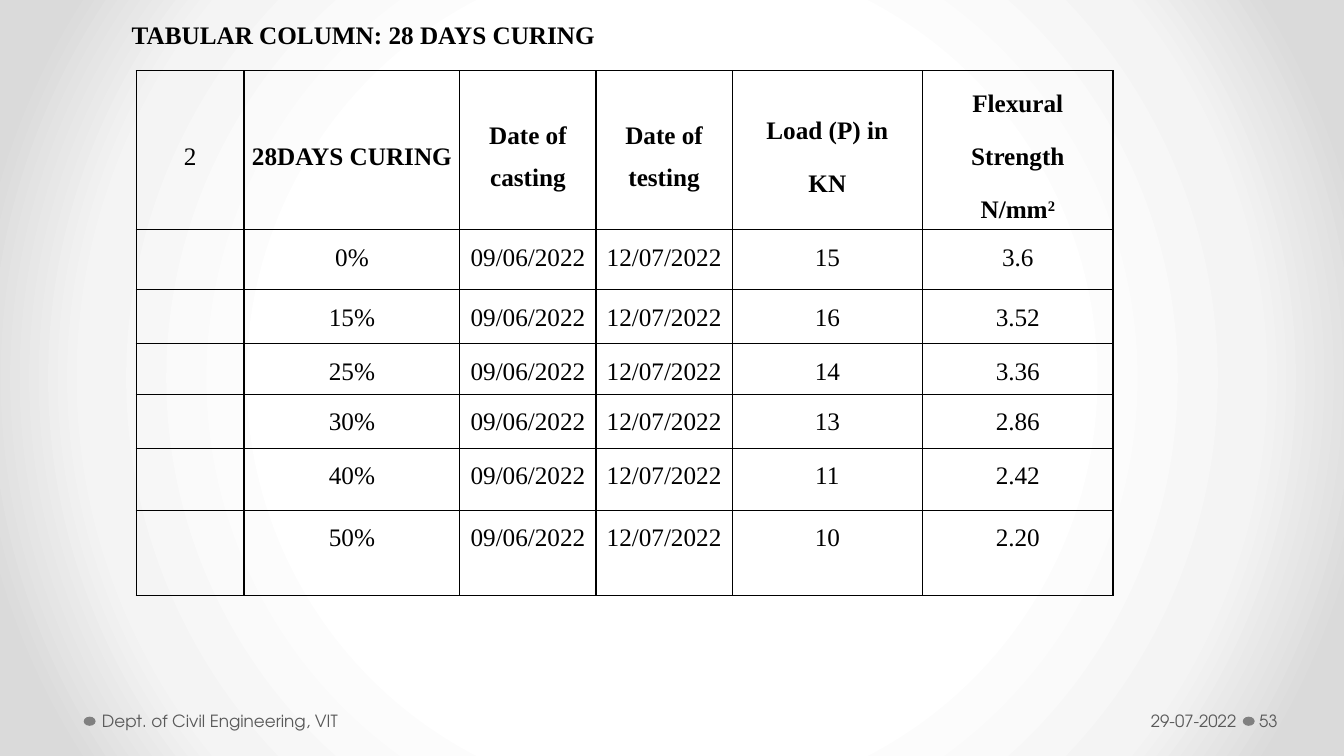
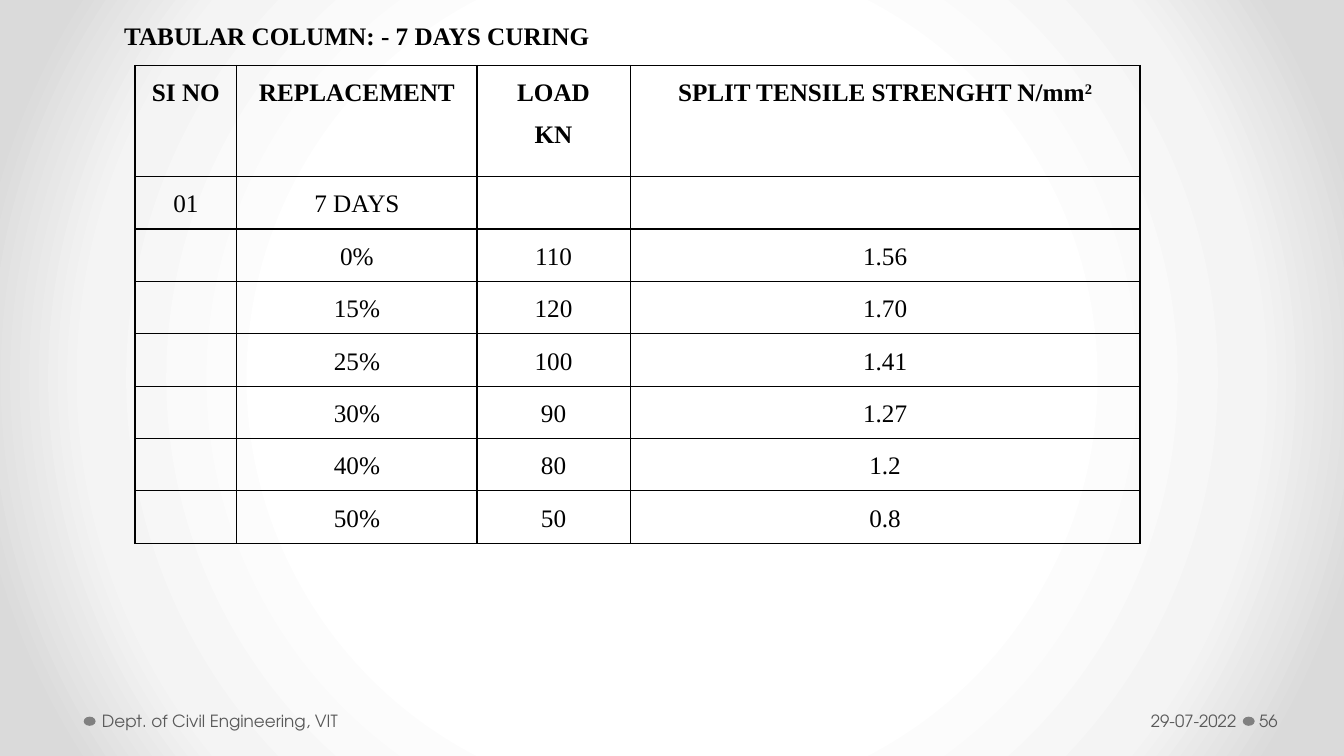
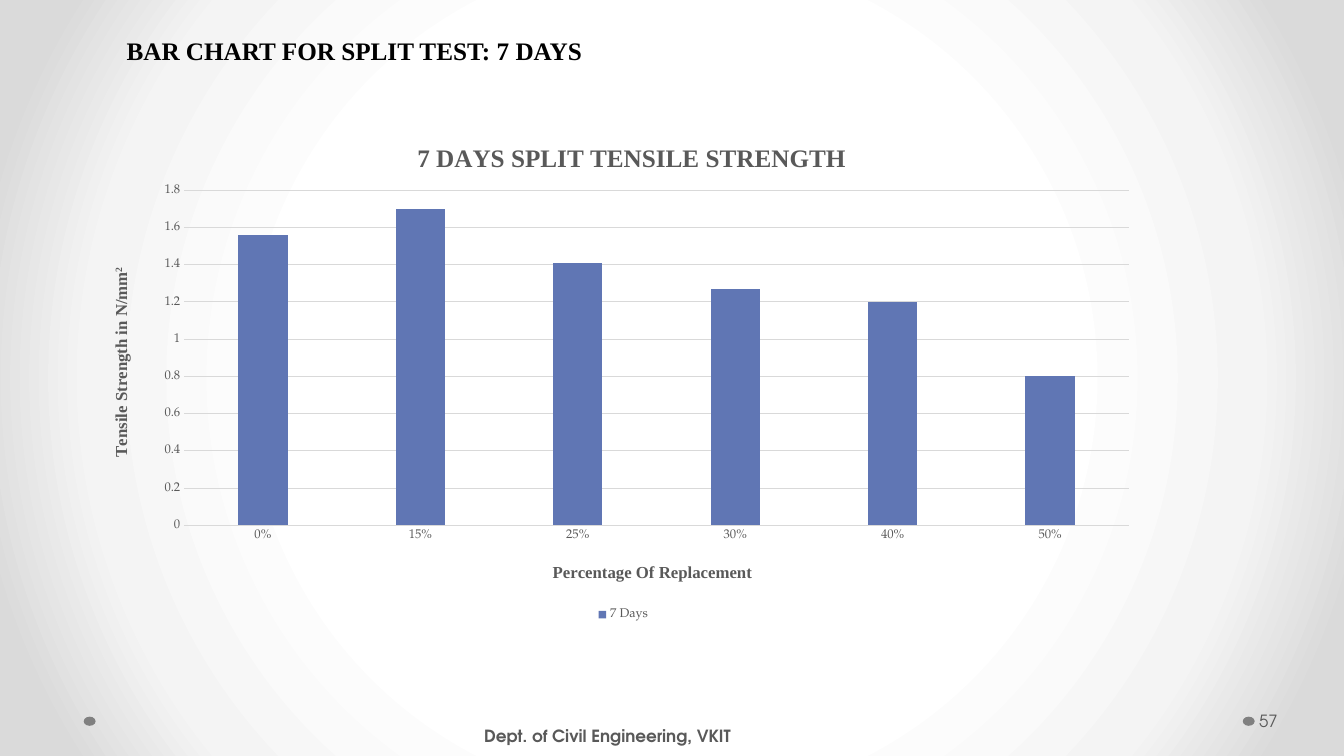
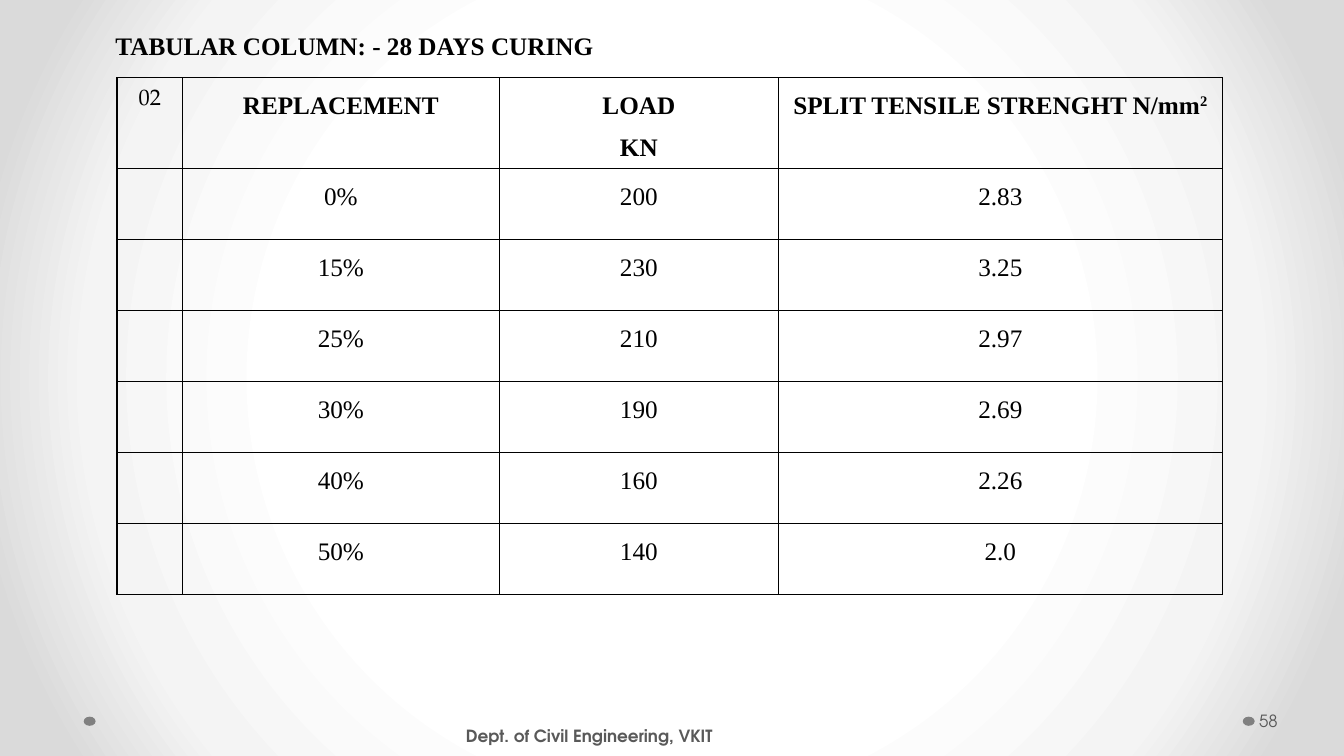
import pptx
import pptx.chart.data
import pptx.dml.color
import pptx.enum.chart
import pptx.enum.shapes
import pptx.enum.text
import pptx.oxml
import pptx.oxml.ns
import pptx.util

Cm, Pt = pptx.util.Cm, pptx.util.Pt
PP_ALIGN = pptx.enum.text.PP_ALIGN
ANCHOR = pptx.enum.text.MSO_ANCHOR
NS = pptx.oxml.ns.nsdecls("a", "c")

COLORS = {"text": "000000", "muted": "595959", "dot": "808080", "grid": "D9D9D9",
          "bar": "6076B4", "center": "FFFFFF", "ring": "F4F4F4", "edge": "DADADA"}
SERIF, FOOTER_FONT, CHART_FONT = "Times New Roman", "TeX Gyre Adventor", "TeX Gyre Pagella"


def rgb(name):
    return pptx.dml.color.RGBColor.from_string(COLORS[name])


def style(font, size, name=SERIF, color="text", bold=False):
    font.size, font.name, font.bold = Pt(size), name, bold
    font.color.rgb = rgb(color)


def write(paragraph, text, **look):
    """Fill a paragraph; whatever follows ^ is raised."""
    for part, words in enumerate(text.split("^")):
        run = paragraph.add_run()
        run.text = words
        style(run.font, **look)
        if part:
            run.font._element.set("baseline", "30000")


def set_layout(parent, index, inner=False, **fractions):
    """Place a chart part by fractions of the chart's size."""
    for old in parent.findall(pptx.oxml.ns.qn("c:layout")):
        parent.remove(old)
    target = '<c:layoutTarget val="inner"/>' if inner else ""
    modes = "".join(f'<c:{axis}Mode val="edge"/>' for axis in "xy")
    values = "".join(f'<c:{key} val="{value}"/>' for key, value in fractions.items())
    parent.insert(index, pptx.oxml.parse_xml(
        f"<c:layout {NS}><c:manualLayout>{target}{modes}{values}</c:manualLayout></c:layout>"))


class Deck:
    def __init__(self):
        self.prs = pptx.Presentation()
        self.prs.slide_width, self.prs.slide_height = Cm(33.87), Cm(19.05)
        self.slide = None
        self.set_background()

    def set_background(self):
        master = self.prs.slide_master
        master.background.fill.gradient()
        plain = master.element.xpath("./p:cSld/p:bg/p:bgPr/a:gradFill")[0]
        stops = "".join(
            f'<a:gs pos="{pos}000"><a:srgbClr val="{COLORS[name]}"/></a:gs>'
            for pos, name in ((50, "center"), (76, "ring"), (92, "edge")))
        plain.getparent().replace(plain, pptx.oxml.parse_xml(
            f'<a:gradFill {NS} rotWithShape="1"><a:gsLst>{stops}</a:gsLst><a:path path="circle">'
            '<a:fillToRect l="50000" t="50000" r="50000" b="50000"/></a:path></a:gradFill>'))

    def new_slide(self, number, department, left=2.44, top=17.65, bold=False, date=None):
        self.slide = self.prs.slides.add_slide(self.prs.slide_layouts[6])
        for dot_left in (31.32, 2.11):
            dot = self.slide.shapes.add_shape(
                pptx.enum.shapes.MSO_SHAPE.OVAL, Cm(dot_left), Cm(18.06), Cm(0.3), Cm(0.23))
            dot.shadow.inherit = False
            dot.fill.solid()
            dot.fill.fore_color.rgb = rgb("dot")
            dot.line.fill.background()
        if date:
            self.footer(date, 23.57, 17.65, 7.72, (0.25, 0.13), align=PP_ALIGN.RIGHT)
        self.footer(department, left, top, 10.54, (0.13, 0.25), bold)
        self.footer(number, 31.65, 17.65, 2.08, (0.08, 0.13))

    def text_box(self, left, top, width, height):
        box = self.slide.shapes.add_textbox(Cm(left), Cm(top), Cm(width), Cm(height))
        box.text_frame.word_wrap = True
        return box.text_frame

    def footer(self, text, left, top, width, insets, bold=False, align=PP_ALIGN.LEFT):
        frame = self.text_box(left, top, width, 1.02)
        frame.vertical_anchor = ANCHOR.MIDDLE
        frame.margin_left, frame.margin_right = map(Cm, insets)
        frame.paragraphs[0].alignment = align
        write(frame.paragraphs[0], text, size=12, name=FOOTER_FONT, color="muted", bold=bold)

    def title(self, text, left, top, width, height=1.42, margin=0, indent=0.5, spacing=1.5):
        frame = self.text_box(left, top, width, height)
        frame.auto_size = pptx.enum.text.MSO_AUTO_SIZE.SHAPE_TO_FIT_TEXT
        heading = frame.paragraphs[0]
        heading.line_spacing = spacing
        properties = heading._p.get_or_add_pPr()
        properties.set("marL", str(Cm(margin)))
        properties.set("indent", str(Cm(indent)))
        write(heading, text, size=18, bold=True)

    def table(self, left, top, widths, heights, rows, header_anchor=ANCHOR.TOP,
              space_after=0, corner=None):
        """Draw rows under a bold header; corner is the look of the first cell."""
        table = self.slide.shapes.add_table(
            len(rows), len(widths), Cm(left), Cm(top),
            Cm(sum(widths)), Cm(sum(heights))).table
        table.first_row = table.horz_banding = False
        for column, width in zip(table.columns, widths):
            column.width = Cm(width)
        for row, height in zip(table.rows, heights):
            row.height = Cm(height)
        for r, row in enumerate(rows):
            for c, text in enumerate(row):
                look = {"size": 18, "bold": r == 0}
                if corner and r == c == 0:
                    look = corner
                anchor = ANCHOR.TOP if r else header_anchor
                self.cell(table.cell(r, c), text, look, anchor, space_after)

    def cell(self, cell, text, look, anchor, space_after):
        cell.margin_left = cell.margin_right = Cm(0.18)
        cell.margin_top = cell.margin_bottom = 0
        cell.vertical_anchor = anchor
        properties = cell._tc.get_or_add_tcPr()
        for side in "LRTB":
            properties.append(pptx.oxml.parse_xml(
                f'<a:ln{side} {NS} w="{Pt(1)}"><a:solidFill>'
                f'<a:srgbClr val="{COLORS["text"]}"/></a:solidFill></a:ln{side}>'))
        cell.fill.background()
        for n, line in enumerate(text.split("\n") if text else ()):
            frame = cell.text_frame
            paragraph = frame.add_paragraph() if n else frame.paragraphs[0]
            paragraph.alignment = PP_ALIGN.CENTER
            paragraph.line_spacing = 1.5
            paragraph.space_after = Pt(space_after)
            write(paragraph, line, **look)

    def chart_title(self, owner, text, size, x, y):
        title = getattr(owner, "chart_title", None) or owner.axis_title
        write(title.text_frame.paragraphs[0], text, size=size, color="muted", bold=True)
        set_layout(title._element, 1, x=x, y=y)
        return title

    def bar_chart(self, box, title, category_title, value_title, name, shares, values):
        data = pptx.chart.data.CategoryChartData()
        data.categories = shares
        data.categories.number_format = "0%"
        data.add_series(name, values)
        chart = self.slide.shapes.add_chart(
            pptx.enum.chart.XL_CHART_TYPE.COLUMN_CLUSTERED, *map(Cm, box), data).chart
        style(chart.font, 10, CHART_FONT)

        # Titles
        self.chart_title(chart, title, 18, 0.3, 0.04)
        self.chart_title(chart.category_axis, category_title, 12, 0.43, 0.87)
        upright = self.chart_title(chart.value_axis, value_title, 12, 0.01, 0.29)
        body = upright.text_frame._txBody.bodyPr
        body.set("rot", "-5400000")
        body.set("vert", "horz")

        # Axes
        for axis in (chart.category_axis, chart.value_axis):
            axis.major_tick_mark = axis.minor_tick_mark = pptx.enum.chart.XL_TICK_MARK.NONE
            style(axis.tick_labels.font, 9, CHART_FONT, "muted")
        chart.category_axis.tick_labels.number_format = "0%"
        chart.category_axis.tick_labels.number_format_is_linked = False
        chart.value_axis.minimum_scale, chart.value_axis.maximum_scale = 0, 1.8
        chart.value_axis.major_unit = 0.2
        chart.value_axis.format.line.fill.background()
        for part in (chart.category_axis, chart.value_axis.major_gridlines):
            part.format.line.color.rgb = rgb("grid")
            part.format.line.width = Pt(0.75)

        # Bars and legend
        plot = chart.plots[0]
        plot.gap_width, plot.overlap, plot.vary_by_categories = 219, -27, False
        plot.series[0].format.fill.solid()
        plot.series[0].format.fill.fore_color.rgb = rgb("bar")
        chart.has_legend = True
        chart.legend.position = pptx.enum.chart.XL_LEGEND_POSITION.BOTTOM
        chart.legend.include_in_layout = False
        style(chart.legend.font, 9, CHART_FONT, "muted")
        plot_area = chart._chartSpace.chart.plotArea
        set_layout(plot_area, 0, inner=True, x=0.083, y=0.144, w=0.897, h=0.66)


def main():
    deck = Deck()
    vit = {"department": "Dept. of Civil Engineering, VIT", "date": "29-07-2022"}
    vkit = {"department": "Dept. of Civil Engineering, VKIT", "top": 18.03, "bold": True}
    shares = [0, 0.15, 0.25, 0.3, 0.4, 0.5]
    labels = [f"{share:.0%}" for share in shares]
    split_header = ["REPLACEMENT", "LOAD\nKN", "SPLIT TENSILE STRENGHT N/mm^2"]

    # Flexural strength, 28 days
    deck.new_slide("53", **vit)
    loads = ["15", "16", "14", "13", "11", "10"]
    strengths = ["3.6", "3.52", "3.36", "2.86", "2.42", "2.20"]
    header = ["2", "28DAYS CURING", "Date of casting", "Date of testing",
              "Load (P) in\nKN", "Flexural\nStrength\nN/mm^2"]
    deck.table(3.43, 1.78, [2.72, 5.44, 3.43, 3.43, 4.8, 4.8],
               [4.01, 1.51, 1.36, 1.28, 1.36, 1.56, 2.15],
               [header] + [["", label, "09/06/2022", "12/07/2022", load, strength]
                           for label, load, strength in zip(labels, loads, strengths)],
               header_anchor=ANCHOR.MIDDLE, space_after=8, corner={"size": 18})
    deck.title("TABULAR COLUMN: 28 DAYS CURING", 3.07, 0.36, 12.29, 1.02,
               indent=0, spacing=1)

    # Split tensile strength, 7 days
    deck.new_slide("56", **vit)
    deck.title("TABULAR COLUMN: - 7 DAYS CURING", 0.91, 0, 16.94, margin=1.47)
    loads = ["110", "120", "100", "90", "80", "50"]
    strengths = ["1.56", "1.70", "1.41", "1.27", "1.2", "0.8"]
    deck.table(3.4, 1.65, [2.57, 6.05, 3.86, 12.85], [2.8] + [1.32] * 7,
               [["SI NO"] + split_header, ["01", "7 DAYS", "", ""]]
               + [["", *row] for row in zip(labels, loads, strengths)])

    # Split test chart, 7 days
    deck.new_slide("57", left=12.07, **vkit)
    deck.title("BAR CHART FOR SPLIT TEST: 7 DAYS", 2.44, 0.38, 16.94)
    deck.bar_chart((2.44, 2.95, 26.54, 12.8), "7 DAYS SPLIT TENSILE STRENGTH",
                   "Percentage Of Replacement", "Tensile Strength in N/mm^2", "7 Days",
                   shares, [float(strength) for strength in strengths])

    # Split tensile strength, 28 days
    deck.new_slide("58", left=11.61, **vkit)
    loads = ["200", "230", "210", "190", "160", "140"]
    strengths = ["2.83", "3.25", "2.97", "2.69", "2.26", "2.0"]
    deck.table(2.95, 1.96, [1.65, 7.98, 7.04, 11.18], [2.29] + [1.79] * 6,
               [["02"] + split_header]
               + [["", *row] for row in zip(labels, loads, strengths)],
               corner={"size": 16, "name": CHART_FONT})
    deck.title("TABULAR COLUMN: - 28 DAYS CURING", 0.69, 0.25, 18.92, margin=1.47)

    deck.prs.save("out.pptx")


if __name__ == "__main__":
    main()
